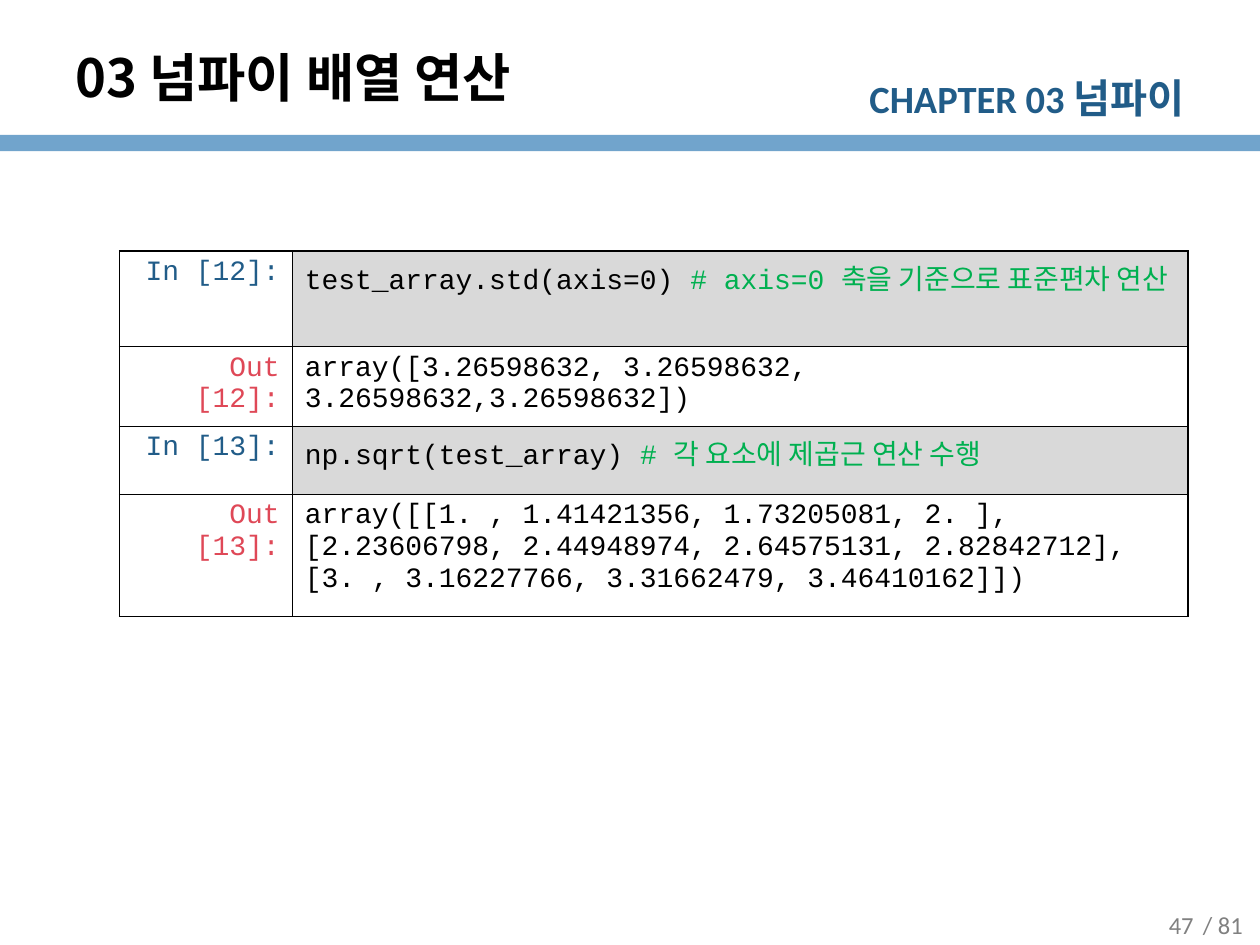
from dataclasses import dataclass
from typing import NamedTuple

from lxml import etree
from pptx import Presentation, util as u
from pptx.dml.color import RGBColor
from pptx.enum import shapes, text
from pptx.oxml.ns import qn


@dataclass(frozen=True)
class Theme:
    bar: str = "71A4CC"
    navy: str = "215C88"
    red: str = "DF4857"
    green: str = "00B050"
    black: str = "000000"
    white: str = "FFFFFF"
    grey: str = "808080"
    code_fill: str = "D9D9D9"
    korean: str = "Noto Sans CJK KR"
    latin: str = "Calibri"
    mono: str = "Courier New"
    title_size: int = 30
    chapter_size: int = 22
    chapter_name_size: int = 23
    page_size: int = 14
    code_size: int = 16
    border_width: int = 1


THEME = Theme()


class Span(NamedTuple):
    words: str
    color: str
    size: int
    face: str
    bold: bool = False


class Box(NamedTuple):
    left: float
    top: float
    width: float
    height: float

    def lengths(self) -> list[int]:
        return [u.Inches(value) for value in self]


class CodeRow(NamedTuple):
    label: str
    lines: list[str]
    height: float
    comment: str = ""

    @property
    def is_input(self) -> bool:
        return self.label.startswith("In")


CODE_ROWS = [
    CodeRow("In [12]:", ["test_array.std(axis=0) "], 0.76,
            "# axis=0 축을 기준으로 표준편차 연산"),
    CodeRow("Out [12]:",
            ["array([3.26598632, 3.26598632, 3.26598632,3.26598632])"], 0.46),
    CodeRow("In [13]:", ["np.sqrt(test_array) "], 0.54,
            "# 각 요소에 제곱근 연산 수행"),
    CodeRow("Out [13]:",
            ["array([[1. , 1.41421356, 1.73205081, 2. ],",
             "[2.23606798, 2.44948974, 2.64575131, 2.82842712],",
             "[3. , 3.16227766, 3.31662479, 3.46410162]])"], 0.97),
]
COLUMN_WIDTHS = (1.37, 7.11)


def rgb(color: str) -> RGBColor:
    return RGBColor.from_string(color)


def code(words: str, color: str) -> Span:
    return Span(words, color, THEME.code_size, THEME.mono)


def write(frame, paragraphs: list[list[Span]], align=text.PP_ALIGN.LEFT) -> None:
    for index, spans in enumerate(paragraphs):
        paragraph = frame.add_paragraph() if index else frame.paragraphs[0]
        paragraph.alignment = align
        for span in spans:
            run = paragraph.add_run()
            run.text = span.words
            formats = {"name": span.face, "size": u.Pt(span.size), "bold": span.bold}
            for name, value in formats.items():
                setattr(run.font, name, value)
            run.font.color.rgb = rgb(span.color)
            east_asian = etree.SubElement(run._r.get_or_add_rPr(), qn("a:ea"))
            east_asian.set("typeface", THEME.korean)


def add_label(slide, box: Box, spans: list[Span], align,
              anchor=text.MSO_ANCHOR.TOP, fit=text.MSO_AUTO_SIZE.NONE) -> None:
    frame = slide.shapes.add_textbox(*box.lengths()).text_frame
    formats = {"word_wrap": True, "vertical_anchor": anchor, "auto_size": fit}
    for name, value in formats.items():
        setattr(frame, name, value)
    write(frame, [spans], align)


def style_cell(cell, fill: str) -> None:
    """Draw the four borders, then the fill, in the order the schema asks for."""
    properties = cell._tc.get_or_add_tcPr()
    for side in ("lnL", "lnR", "lnT", "lnB"):
        line = etree.SubElement(properties, qn(f"a:{side}"),
                                w=str(u.Pt(THEME.border_width)))
        solid = etree.SubElement(line, qn("a:solidFill"))
        etree.SubElement(solid, qn("a:srgbClr"), val=THEME.black)
    cell.fill.solid()
    cell.fill.fore_color.rgb = rgb(fill)


def add_code_table(slide, left: float, top: float) -> None:
    box = Box(left, top, sum(COLUMN_WIDTHS), sum(row.height for row in CODE_ROWS))
    table = slide.shapes.add_table(
        len(CODE_ROWS), len(COLUMN_WIDTHS), *box.lengths()).table
    table.first_row = table.horz_banding = False
    for column, width in zip(table.columns, COLUMN_WIDTHS):
        column.width = u.Inches(width)
    for index, row in enumerate(CODE_ROWS):
        table.rows[index].height = u.Inches(row.height)
        prompt, body = table.cell(index, 0), table.cell(index, 1)
        style_cell(prompt, THEME.white)
        style_cell(body, THEME.code_fill if row.is_input else THEME.white)
        prompt_color = THEME.navy if row.is_input else THEME.red
        write(prompt.text_frame, [[code(row.label, prompt_color)]],
              text.PP_ALIGN.RIGHT)
        paragraphs = [[code(line, THEME.black)] for line in row.lines]
        if row.comment:
            paragraphs[-1].append(code(row.comment, THEME.green))
        write(body.text_frame, paragraphs)


def add_header(slide) -> None:
    bar = slide.shapes.add_shape(
        shapes.MSO_SHAPE.RECTANGLE, *Box(0, 1.07, 10, 0.13).lengths())
    bar.shadow.inherit = False
    bar.fill.solid()
    bar.fill.fore_color.rgb = rgb(THEME.bar)
    bar.line.fill.background()

    add_label(slide, Box(6.62, 0.53, 2.88, 0.48), [
        Span("CHAPTER 03 ", THEME.navy, THEME.chapter_size, THEME.latin, True),
        Span("넘파이", THEME.navy, THEME.chapter_name_size, THEME.latin, True),
    ], text.PP_ALIGN.RIGHT, fit=text.MSO_AUTO_SIZE.SHAPE_TO_FIT_TEXT)

    title = slide.shapes.title
    places = zip(("left", "top", "width", "height"),
                 Box(0.5, 0.3, 7.83, 0.62).lengths())
    for name, value in places:
        setattr(title, name, value)
    title.text_frame.vertical_anchor = text.MSO_ANCHOR.MIDDLE
    write(title.text_frame, [[Span("03 넘파이 배열 연산", THEME.black,
                                   THEME.title_size, THEME.korean, True)]])


def add_page_number(slide) -> None:
    for left, words in ((9.35, "/ 81"), (9.02, "47")):
        add_label(slide, Box(left, 7.14, 0.71, 0.39),
                  [Span(words, THEME.grey, THEME.page_size, THEME.latin)],
                  text.PP_ALIGN.CENTER, text.MSO_ANCHOR.MIDDLE)


def main() -> None:
    deck = Presentation()
    deck.slide_width, deck.slide_height = u.Inches(10), u.Inches(7.5)
    slide = deck.slides.add_slide(deck.slide_layouts.get_by_name("Title Only"))
    add_header(slide)
    add_page_number(slide)
    add_code_table(slide, 0.95, 1.99)
    deck.save("out.pptx")


if __name__ == "__main__":
    main()
